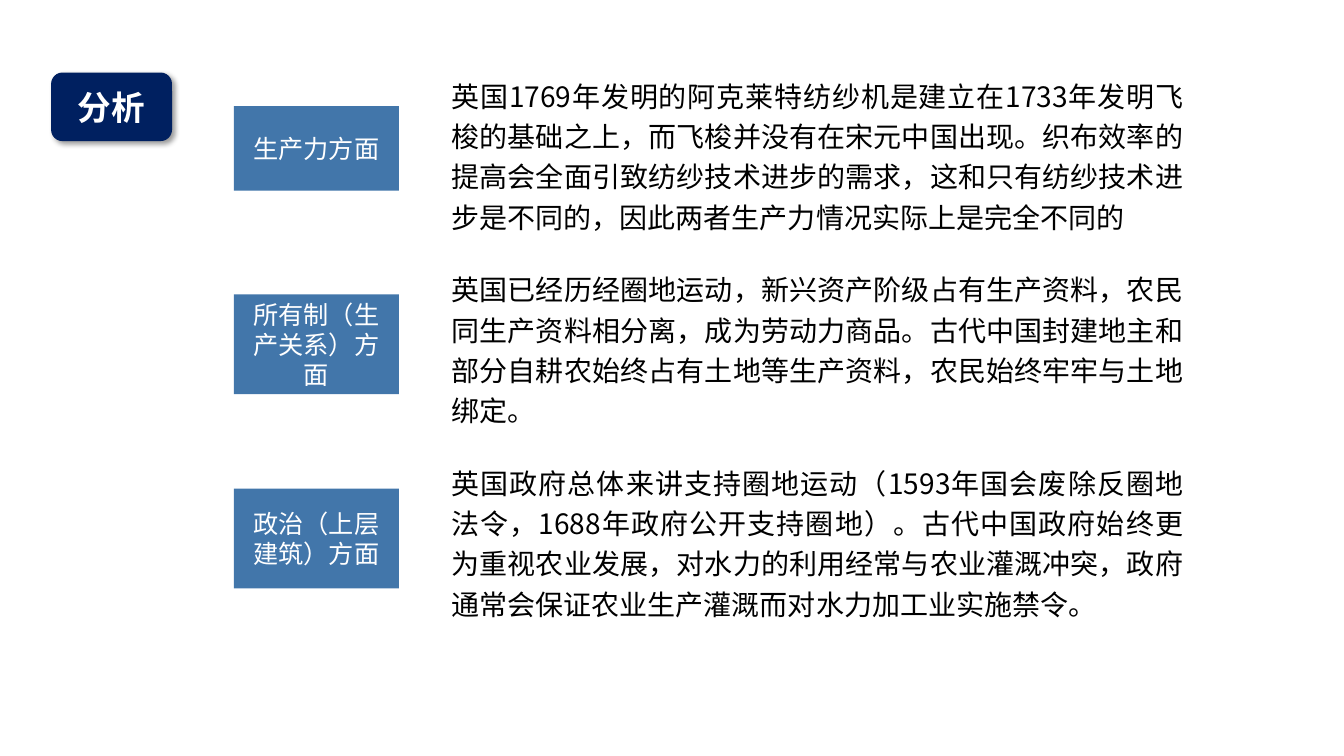
"""Build a slide analysing three differences between England and ancient China."""
from lxml.etree import SubElement
from pptx import Presentation
from pptx.dml.color import RGBColor
from pptx.enum.shapes import MSO_SHAPE as Shape
from pptx.enum.text import MSO_ANCHOR as Anchor, MSO_AUTO_SIZE as AutoSize, PP_ALIGN as Align
from pptx.oxml.ns import qn
from pptx.util import Pt

COLORS = {"navy": "002060", "blue": "4276AA", "white": "FFFFFF", "black": "000000"}
CJK_FONT = "Noto Sans CJK SC"


def write(box, text, size, color="white", font=CJK_FONT, bold=False,
          align=Align.CENTER, anchor=Anchor.MIDDLE):
    frame = box.text_frame
    frame.word_wrap = True
    frame.vertical_anchor = anchor
    para = frame.paragraphs[0]
    para.alignment = align
    span = para.add_run()
    span.text = text
    span.font.size = Pt(size)
    span.font.bold = bold
    span.font.name = font
    span.font.color.rgb = RGBColor.from_string(COLORS[color])
    SubElement(span.font._element, qn("a:ea"), typeface=CJK_FONT)
    return para


def add_block(kind, left, top, width, height, color):
    box = page.shapes.add_shape(kind, Pt(left), Pt(top), Pt(width), Pt(height))
    box.shadow.inherit = False
    box.fill.solid()
    box.fill.fore_color.rgb = RGBColor.from_string(COLORS[color])
    box.line.fill.background()
    return box


deck = Presentation()
deck.slide_width, deck.slide_height = Pt(960), Pt(540)
page = deck.slides.add_slide(deck.slide_layouts[6])

title = add_block(Shape.ROUNDED_RECTANGLE, 36.5, 51.8, 86.4, 49, "navy")
write(title, "分析", 24, bold=True)
effects = title._element.spPr.find(qn("a:effectLst"))
shadow = SubElement(effects, qn("a:outerShdw"), blurRad=str(Pt(4)), dist=str(Pt(3)),
                    dir=str(45 * 60000), algn="tl", rotWithShape="0")
shade = SubElement(shadow, qn("a:srgbClr"), val=COLORS["black"])
SubElement(shade, qn("a:alpha"), val="40000")

aspects = [
    ("生产力方面", 75.8, 60.5,
     "英国1769年发明的阿克莱特纺纱机是建立在1733年发明飞梭的基础之上，而飞梭并没有在宋元中国出现。"
     "织布效率的提高会全面引致纺纱技术进步的需求，这和只有纺纱技术进步是不同的，"
     "因此两者生产力情况实际上是完全不同的"),
    ("所有制（生产关系）方面", 210.3, 71.3,
     "英国已经历经圈地运动，新兴资产阶级占有生产资料，农民同生产资料相分离，成为劳动力商品。"
     "古代中国封建地主和部分自耕农始终占有土地等生产资料，农民始终牢牢与土地绑定。"),
    ("政治（上层建筑）方面", 349, 71.3,
     "英国政府总体来讲支持圈地运动（1593年国会废除反圈地法令，1688年政府公开支持圈地）。"
     "古代中国政府始终更为重视农业发展，对水力的利用经常与农业灌溉冲突，"
     "政府通常会保证农业生产灌溉而对水力加工业实施禁令。"),
]
for row, (label, top, height, detail) in enumerate(aspects):
    label_box = add_block(Shape.RECTANGLE, 167, top, 118, height, "blue")
    write(label_box, label, 18, font="Arial")

    detail_box = page.shapes.add_textbox(Pt(315.4), Pt(48.2 + 138.3 * row), Pt(537), Pt(119.5))
    para = write(detail_box, detail, 20, color="black", align=Align.JUSTIFY, anchor=Anchor.TOP)
    para.line_spacing = 1.2
    para.space_before = Pt(14)
    detail_box.text_frame.auto_size = AutoSize.SHAPE_TO_FIT_TEXT

deck.save("out.pptx")
